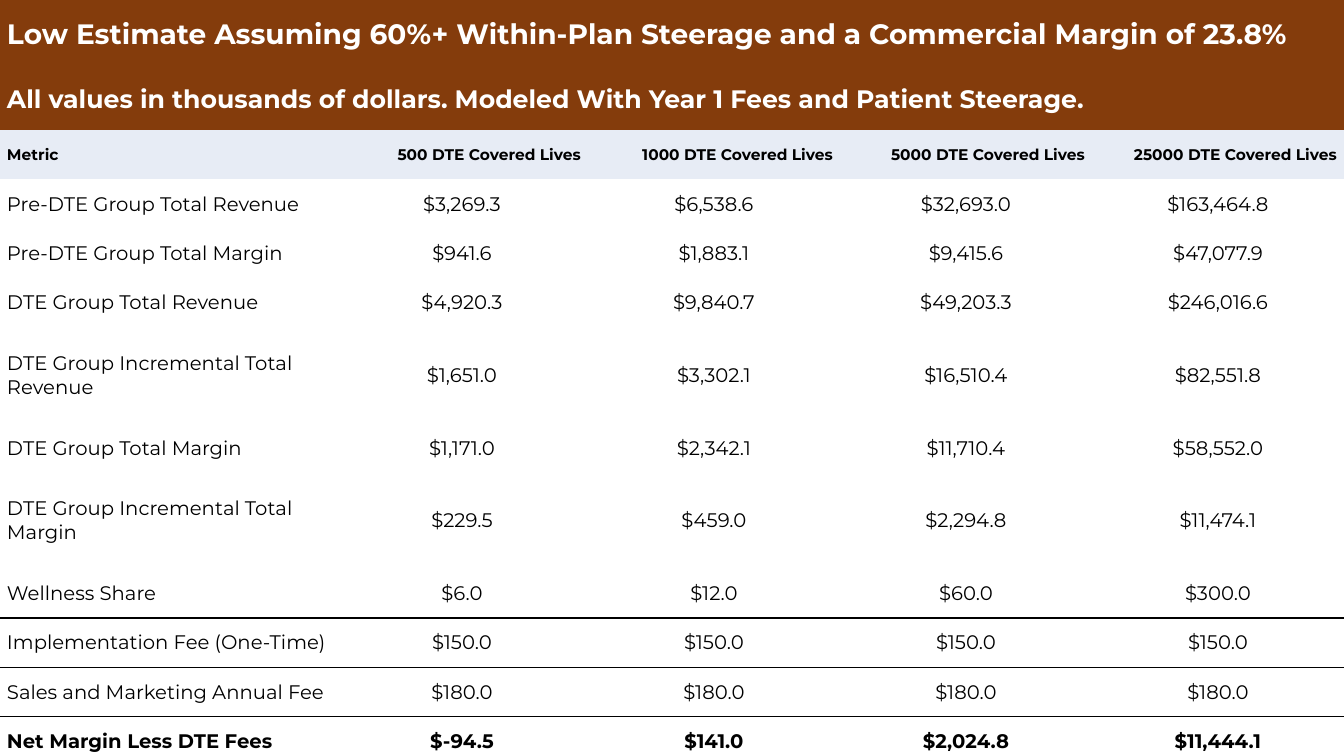
from dataclasses import dataclass

from lxml.etree import SubElement
from pptx import Presentation
from pptx.dml.color import RGBColor
from pptx.enum.text import MSO_ANCHOR, PP_ALIGN
from pptx.oxml import parse_xml
from pptx.oxml.ns import nsdecls, qn
from pptx.util import Pt


@dataclass(frozen=True)
class Theme:
    font: str = "Montserrat"
    banner: str = "843C0C"
    header: str = "E7ECF5"
    light: str = "FFFFFF"
    ink: str = "000000"
    title_size: int = 20
    subtitle_size: int = 18
    header_size: int = 11
    body_size: int = 14


TITLES = [
    "Low Estimate Assuming 60%+ Within-Plan Steerage and a Commercial Margin of 23.8%",
    "All values in thousands of dollars. Modeled With Year 1 Fees and Patient Steerage.",
]
HEADINGS = ["Metric"] + [f"{lives} DTE Covered Lives" for lives in (500, 1000, 5000, 25000)]
METRICS = [
    ("Pre-DTE Group Total Revenue", 3269.3, 6538.6, 32693.0, 163464.8),
    ("Pre-DTE Group Total Margin", 941.6, 1883.1, 9415.6, 47077.9),
    ("DTE Group Total Revenue", 4920.3, 9840.7, 49203.3, 246016.6),
    ("DTE Group Incremental Total Revenue", 1651.0, 3302.1, 16510.4, 82551.8),
    ("DTE Group Total Margin", 1171.0, 2342.1, 11710.4, 58552.0),
    ("DTE Group Incremental Total Margin", 229.5, 459.0, 2294.8, 11474.1),
    ("Wellness Share", 6.0, 12.0, 60.0, 300.0),
    ("Implementation Fee (One-Time)", 150.0, 150.0, 150.0, 150.0),
    ("Sales and Marketing Annual Fee", 180.0, 180.0, 180.0, 180.0),
    ("Net Margin Less DTE Fees", -94.5, 141.0, 2024.8, 11444.1),
]
RULED = {"Wellness Share": "b", "Implementation Fee (One-Time)": "t",
         "Sales and Marketing Annual Fee": "b", "Net Margin Less DTE Fees": "t"}
COLUMN_WIDTHS = [240] + [180] * 4
TITLE_HEIGHTS = [49, 43.9]
ROW_HEIGHT, TALL_HEIGHT = 35.3, 68.4
NO_STYLE = "{2D5ABB26-0587-4C30-8999-92F81FD0307C}"


class SlideBuilder:
    """Adds styled table elements to the current slide."""

    def __init__(self, slide, theme):
        self.slide = slide
        self.theme = theme

    def table(self, widths, heights):
        frame = self.slide.shapes.add_table(
            len(heights), len(widths), Pt(0), Pt(0), Pt(sum(widths)), Pt(sum(heights)))
        table = frame.table
        properties = table._tbl.tblPr
        properties.find(qn("a:tableStyleId")).text = NO_STYLE
        table.first_row = table.horz_banding = False
        for column, width in zip(table.columns, widths):
            column.width = Pt(width)
        for row, height in zip(table.rows, heights):
            row.height = Pt(height)
        return table

    def cell(self, cell, text, size, color, bold=False, align=PP_ALIGN.LEFT, fill=None):
        cell.margin_left = cell.margin_right = cell.margin_top = cell.margin_bottom = Pt(0)
        cell.vertical_anchor = MSO_ANCHOR.MIDDLE
        if fill:
            cell.fill.solid()
            cell.fill.fore_color.rgb = RGBColor.from_string(fill)
        else:
            cell.fill.background()
        cell.text_frame.text = text
        para = cell.text_frame.paragraphs[0]
        para.alignment = align
        indents = para._p.get_or_add_pPr()
        for side in ("marL", "marR"):
            indents.set(side, str(Pt(5)))
        indents.set("indent", "0")
        for span in para.runs:
            span.font.name = self.theme.font
            span.font.size = Pt(size)
            span.font.bold = bold
            span.font.color.rgb = RGBColor.from_string(color)

    def rule(self, cell, side):
        line = parse_xml(f'<a:ln{side.upper()} {nsdecls("a")} w="{Pt(1)}"/>')
        fill = SubElement(line, qn("a:solidFill"))
        SubElement(fill, qn("a:srgbClr"), val=self.theme.ink)
        cell._tc.get_or_add_tcPr().insert(0, line)


def main():
    deck = Presentation()
    deck.slide_width, deck.slide_height = Pt(960), Pt(540)
    theme = Theme()
    builder = SlideBuilder(deck.slides.add_slide(deck.slide_layouts[6]), theme)

    heights = TITLE_HEIGHTS + [ROW_HEIGHT] + [
        TALL_HEIGHT if "Incremental" in metric[0] else ROW_HEIGHT for metric in METRICS]
    table = builder.table(COLUMN_WIDTHS, heights)

    for row, (text, size) in enumerate(zip(TITLES, (theme.title_size, theme.subtitle_size))):
        banner = table.cell(row, 0)
        banner.merge(table.cell(row, len(COLUMN_WIDTHS) - 1))
        builder.cell(banner, text, size, theme.light, True, fill=theme.banner)

    for column, text in enumerate(HEADINGS):
        align = PP_ALIGN.RIGHT if column else PP_ALIGN.LEFT
        builder.cell(table.cell(len(TITLES), column), text, theme.header_size, theme.ink,
                     True, align, theme.header)

    for row, (name, *values) in enumerate(METRICS, len(TITLES) + 1):
        texts = [name] + [f"${value:,.1f}" for value in values]
        for column, text in enumerate(texts):
            cell = table.cell(row, column)
            align = PP_ALIGN.CENTER if column else PP_ALIGN.LEFT
            builder.cell(cell, text, theme.body_size, theme.ink,
                         name.startswith("Net"), align)
            if name in RULED:
                builder.rule(cell, RULED[name])

    deck.save("out.pptx")


if __name__ == "__main__":
    main()
